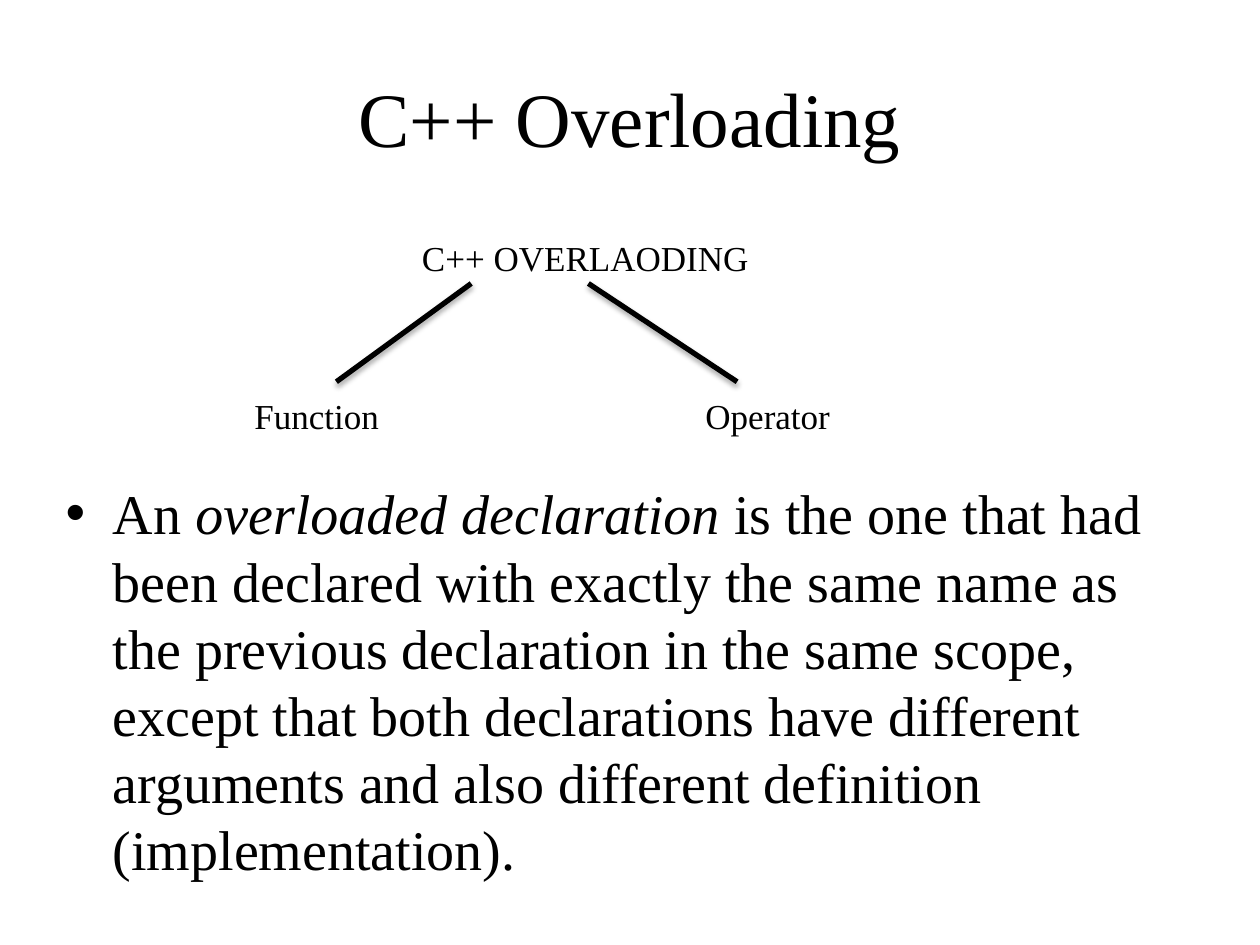
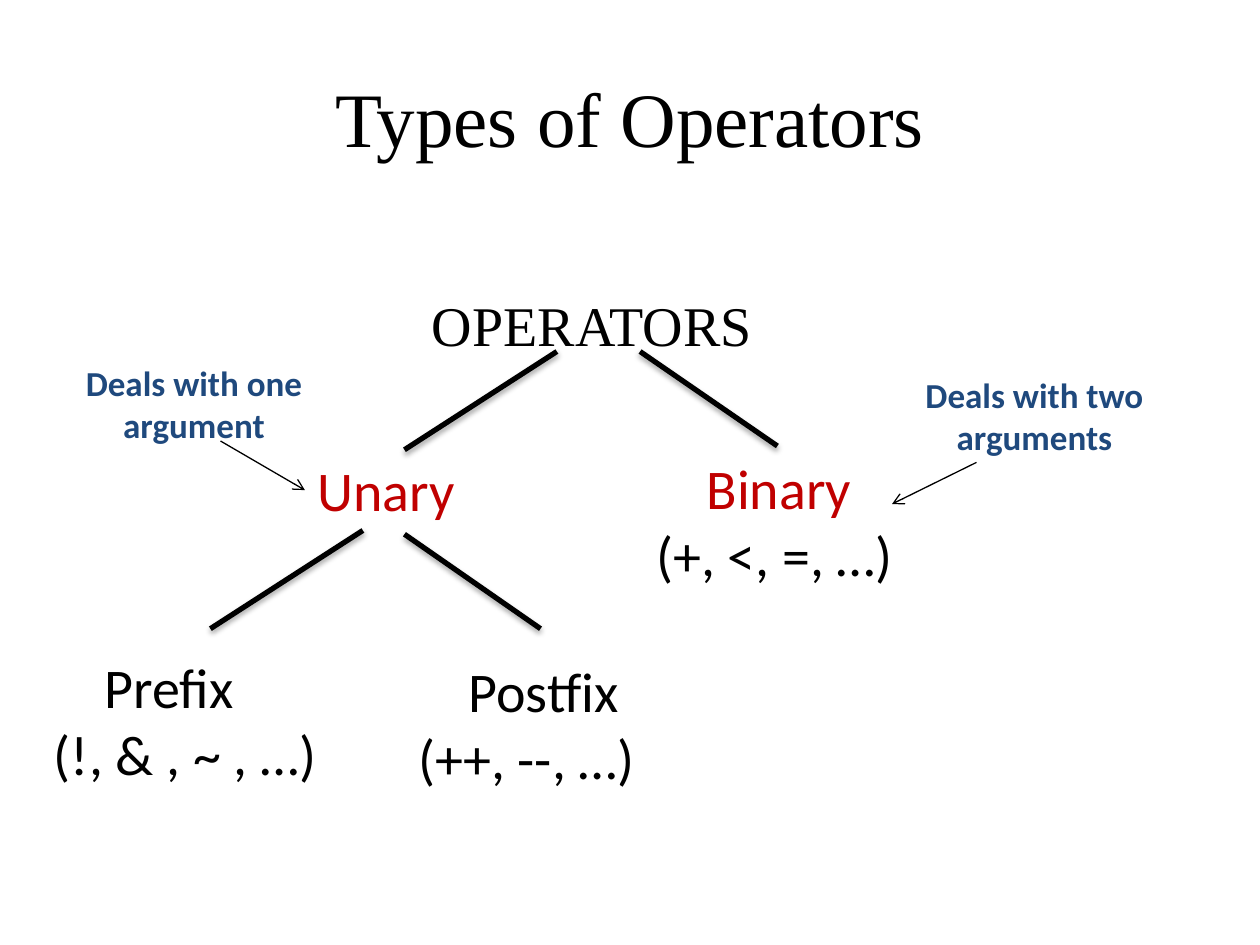
from lxml.etree import SubElement
from pptx import Presentation
from pptx.dml.color import RGBColor
from pptx.enum.shapes import MSO_CONNECTOR as Connector
from pptx.enum.text import MSO_ANCHOR as Anchor, MSO_AUTO_SIZE as AutoSize, PP_ALIGN as Align
from pptx.oxml.ns import qn
from pptx.util import Inches, Pt

BLACK, RED, NAVY = "000000", "C00000", "1F497D"
SERIF, SANS = "Times New Roman", "Calibri"
TITLE_ONLY, TITLE_AND_BODY = 5, 1
TITLE_AREA = (0.5, 0.3, 9, 1.25)
DEFINITION_AREA = (0.42, 3.75, 9, 3.37)
EXAMPLE_INDENT = 0.4

DEFINITION = [
    ("An ", False),
    ("overloaded declaration", True),
    (" is the one that had been declared with exactly the same name as the previous "
     "declaration in the same scope, except that both declarations have different "
     "arguments and also different definition (implementation).", False),
]

OVERLOADING = {
    "title": "C++ Overloading",
    "layout": TITLE_AND_BODY,
    "font": SERIF,
    "size": 20,
    "nodes": [
        ((3.25, 1.83, 3.09, 0.44), [("C++ OVERLAODING", BLACK, 0)]),
        ((1.92, 3.08, 1.32, 0.44), [("Function", BLACK, 0)]),
        ((5.5, 3.08, 1.35, 0.44), [("Operator", BLACK, 0)]),
    ],
    "branches": [((3.74, 2.25), (2.67, 3.03)), ((4.67, 2.25), (5.85, 3.03))],
}

OPERATORS = {
    "title": "Types of Operators",
    "layout": TITLE_ONLY,
    "font": SANS,
    "size": 32,
    "nodes": [
        ((2.42, 3.57, 1.58, 0.64), [("Unary", RED, 0)]),
        ((5.11, 3.55, 2.67, 1.18),
         [("Binary", RED, EXAMPLE_INDENT), ("(+, <, =, …)", BLACK, 0)]),
        ((0.33, 5.13, 2.67, 1.18),
         [("Prefix", BLACK, EXAMPLE_INDENT), ("(!, & , ~ , …)", BLACK, 0)]),
        ((3.22, 5.16, 2.67, 1.18),
         [("Postfix", BLACK, EXAMPLE_INDENT), ("(++, --, …)", BLACK, 0)]),
    ],
    "branches": [
        ((4.42, 2.79), (3.21, 3.57)), ((5.08, 2.79), (6.17, 3.54)),
        ((2.88, 4.21), (1.67, 4.99)), ((3.21, 4.24), (4.29, 4.99)),
    ],
}

OPERATORS_ROOT = ((3.33, 2.26, 3, 0.64), [("OPERATORS", BLACK, 0)])
REMARKS = [
    ((6.67, 2.67, 3.08, 1.25), "Deals with two arguments", (7.75, 3.67), (7.08, 4)),
    ((0, 2.58, 3.08, 1.25), "Deals with one argument", (1.75, 3.5), (2.42, 3.89)),
]


def style(font, name, size, color=BLACK, bold=None):
    font.name, font.size, font.bold = name, Pt(size), bold
    font.color.rgb = RGBColor.from_string(color)


def place(shape, area):
    shape.left, shape.top, shape.width, shape.height = map(Inches, area)


def add_text(slide, area, lines, name, size, bold=None):
    box = slide.shapes.add_textbox(*map(Inches, area))
    frame = box.text_frame
    frame.word_wrap = True
    frame.text = "\n".join(text for text, _, _ in lines)
    for paragraph, (_, color, indent) in zip(frame.paragraphs, lines):
        if indent:
            paragraph._p.get_or_add_pPr().set("marL", str(Inches(indent)))
        style(paragraph.font, name, size, color, bold)
    return frame


def add_line(slide, start, end, width):
    line = slide.shapes.add_connector(Connector.STRAIGHT, *map(Inches, start + end))
    line.line.color.rgb = RGBColor.from_string(BLACK)
    line.line.width = Pt(width)
    effects = SubElement(line._element.spPr, qn("a:effectLst"))
    return line, effects


def add_branch(slide, start, end):
    _, effects = add_line(slide, start, end, 3)
    shadow = SubElement(effects, qn("a:outerShdw"), blurRad="40000", dist="23000",
                        dir="5400000", rotWithShape="0")
    color = SubElement(shadow, qn("a:srgbClr"), val=BLACK)
    SubElement(color, qn("a:alpha"), val="35000")


def add_arrow(slide, start, end):
    arrow, _ = add_line(slide, start, end, 0.75)
    SubElement(arrow.line._get_or_add_ln(), qn("a:tailEnd"), type="arrow")


def add_tree_slide(deck, tree):
    slide = deck.slides.add_slide(deck.slide_layouts[tree["layout"]])
    title = slide.shapes.title
    place(title, TITLE_AREA)
    title.text_frame.text = tree["title"]
    heading = title.text_frame.paragraphs[0]
    heading.alignment = Align.CENTER
    style(heading.font, SERIF, 44)
    for start, end in tree["branches"]:
        add_branch(slide, start, end)
    for area, lines in tree["nodes"]:
        add_text(slide, area, lines, tree["font"], tree["size"])
    return slide


def add_definition(slide):
    body = slide.placeholders[1]
    place(body, DEFINITION_AREA)
    body.text_frame.auto_size = AutoSize.NONE
    paragraph = body.text_frame.paragraphs[0]
    style(paragraph.font, SERIF, 32)
    for text, italic in DEFINITION:
        run = paragraph.add_run()
        run.text = text
        run.font.italic = italic


def add_remarks(slide):
    for area, text, start, end in REMARKS:
        frame = add_text(slide, area, [(text, NAVY, 0)], SANS, 20, True)
        frame.vertical_anchor = Anchor.MIDDLE
        frame.paragraphs[0].alignment = Align.CENTER
        add_arrow(slide, start, end)


def main():
    deck = Presentation()
    deck.slide_width, deck.slide_height = Inches(10), Inches(7.5)
    add_definition(add_tree_slide(deck, OVERLOADING))
    operators = add_tree_slide(deck, OPERATORS)
    add_text(operators, *OPERATORS_ROOT, SERIF, 32)
    add_remarks(operators)
    deck.save("out.pptx")


if __name__ == "__main__":
    main()
